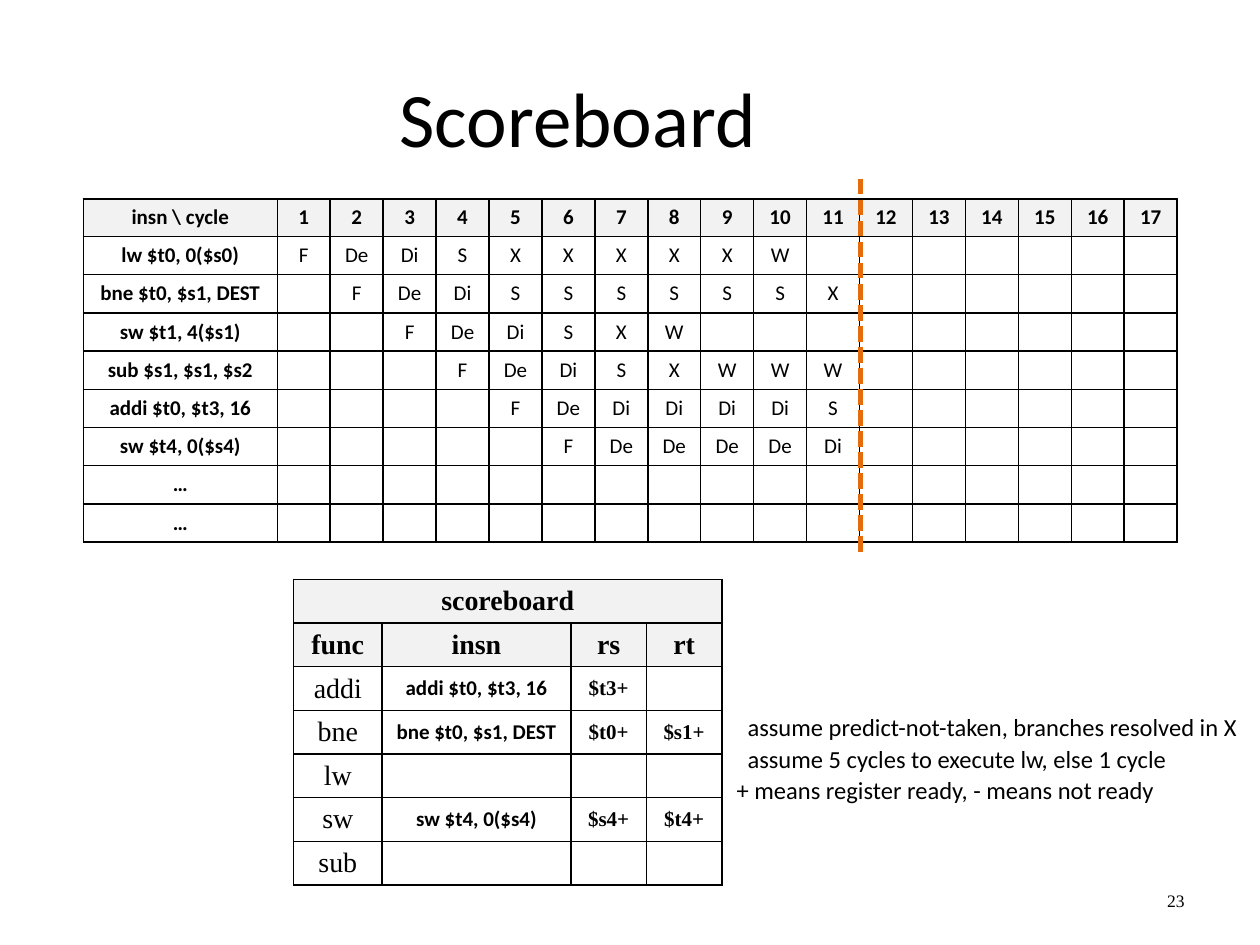
from lxml.etree import SubElement
from pptx import Presentation
from pptx.dml.color import RGBColor
from pptx.enum.dml import MSO_LINE
from pptx.enum.shapes import MSO_CONNECTOR
from pptx.enum.text import MSO_ANCHOR, PP_ALIGN
from pptx.oxml.ns import qn
from pptx.util import Cm, Pt

# Content
TITLE = "Scoreboard"
CYCLES = 17
# instruction, cycle of the first stage, stages
TIMELINE = [
    ("lw $t0, 0($s0)", 1, "F De Di S X X X X X W"),
    ("bne $t0, $s1, DEST", 2, "F De Di S S S S S S X"),
    ("sw $t1, 4($s1)", 3, "F De Di S X W"),
    ("sub $s1, $s1, $s2", 4, "F De Di S X W W W"),
    ("addi $t0, $t3, 16", 5, "F De Di Di Di Di S"),
    ("sw $t4, 0($s4)", 6, "F De De De De Di"),
    ("…", 1, ""),
    ("…", 1, ""),
]
SCOREBOARD = [
    ("scoreboard", "", "", ""),
    ("func", "insn", "rs", "rt"),
    ("addi", "addi $t0, $t3, 16", "$t3+", ""),
    ("bne", "bne $t0, $s1, DEST", "$t0+", "$s1+"),
    ("lw", "", "", ""),
    ("sw", "sw $t4, 0($s4)", "$s4+", "$t4+"),
    ("sub", "", "", ""),
]
# text, left, top, width
NOTES = [
    ("assume predict-not-taken, branches resolved in X", 14.82, 14.02, 10.58),
    ("assume 5 cycles to execute lw, else 1 cycle", 14.82, 14.66, 9.74),
    ("+ means register ready, - means not ready", 14.6, 15.29, 9.74),
]
SANS, SERIF = "Calibri", "Times New Roman"
BLACK, WHITE, GREY, ORANGE = "000000", "FFFFFF", "F2F2F2", "E46C0A"


def color(value):
    return RGBColor.from_string(value)


def format_paragraph(paragraph, size, font_name, bold=False, align=PP_ALIGN.LEFT):
    paragraph.alignment = align
    font = paragraph.font
    font.size, font.name, font.bold = Pt(size), font_name, bold
    font.color.rgb = color(BLACK)


def add_text(slide, text, left, top, width, height, size, font_name, align=PP_ALIGN.LEFT):
    box = slide.shapes.add_textbox(Cm(left), Cm(top), Cm(width), Cm(height))
    frame = box.text_frame
    frame.word_wrap = True
    frame.vertical_anchor = MSO_ANCHOR.MIDDLE
    frame.text = text
    format_paragraph(frame.paragraphs[0], size, font_name, align=align)


def add_borders(cell):
    properties = cell._tc.get_or_add_tcPr()
    for side in ("a:lnL", "a:lnR", "a:lnT", "a:lnB"):
        line = SubElement(properties, qn(side), w=str(Pt(1)))
        fill = SubElement(line, qn("a:solidFill"))
        SubElement(fill, qn("a:srgbClr"), val=BLACK)


def add_grid(slide, rows, left, top, widths, heights, header_rows, cell_font, margin):
    """cell_font(row, column) gives size, font name and bold."""
    frame = slide.shapes.add_table(len(rows), len(widths), Cm(left), Cm(top),
                                   Cm(sum(widths)), Cm(sum(heights)))
    table = frame.table
    table.first_row = table.horz_banding = False
    for column, width in zip(table.columns, widths):
        column.width = Cm(width)
    for row_index, (row, height) in enumerate(zip(rows, heights)):
        table.rows[row_index].height = Cm(height)
        for column_index, text in enumerate(row):
            cell = table.cell(row_index, column_index)
            add_borders(cell)
            cell.fill.solid()
            cell.fill.fore_color.rgb = color(GREY if row_index < header_rows else WHITE)
            cell.vertical_anchor = MSO_ANCHOR.MIDDLE
            cell.margin_top = cell.margin_bottom = Cm(margin)
            cell.text = text
            paragraph = cell.text_frame.paragraphs[0]
            size, font_name, bold = cell_font(row_index, column_index)
            format_paragraph(paragraph, size, font_name, bold, PP_ALIGN.CENTER)
            if not text:  # keeps empty rows from growing
                SubElement(paragraph._p, qn("a:endParaRPr"), sz=str(size * 100))
    return table


def timeline_font(row, column):
    return 12, SANS, row == 0 or column == 0


def scoreboard_font(row, column):
    if row < 2:
        return 16, SERIF, True
    if column == 0:
        return 16, SERIF, False
    return 12, SANS if column == 1 else SERIF, True


def timeline_rows():
    rows = [["insn \\ cycle"] + [str(cycle + 1) for cycle in range(CYCLES)]]
    for instruction, first_cycle, stages in TIMELINE:
        cells = [""] * (first_cycle - 1) + stages.split()
        rows.append([instruction] + cells + [""] * (CYCLES - len(cells)))
    return rows


def main():
    presentation = Presentation()
    presentation.slide_width, presentation.slide_height = Cm(25.4), Cm(19.05)
    slide = presentation.slides.add_slide(presentation.slide_layouts[5])

    # Title
    title = slide.shapes.title
    title.left, title.top, title.width, title.height = Cm(1.27), Cm(0.76), Cm(20.75), Cm(3.18)
    title.text_frame.text = TITLE
    title.text_frame.vertical_anchor = MSO_ANCHOR.MIDDLE
    format_paragraph(title.text_frame.paragraphs[0], 44, SANS, align=PP_ALIGN.CENTER)

    # Pipeline timeline
    name_width, table_width = 3.91, 22.05
    cycle_width = (table_width - name_width) / CYCLES
    add_grid(slide, timeline_rows(), 1.68, 4.01, [name_width] + [cycle_width] * CYCLES,
             [0.72] + [0.77] * len(TIMELINE), 1, timeline_font, 0.12)

    # Scoreboard
    scoreboard = add_grid(slide, SCOREBOARD, 5.92, 11.68, [1.78, 3.81, 1.52, 1.52],
                          [0.88] * len(SCOREBOARD), 2, scoreboard_font, 0.1)
    scoreboard.cell(0, 0).merge(scoreboard.cell(0, 3))

    # Current cycle marker
    marker = slide.shapes.add_connector(MSO_CONNECTOR.STRAIGHT, Cm(17.35), Cm(3.6),
                                        Cm(17.35), Cm(11.22))
    marker.line.color.rgb = color(ORANGE)
    marker.line.width = Pt(3)
    marker.line.dash_style = MSO_LINE.SQUARE_DOT
    SubElement(marker._element.spPr, qn("a:effectLst"))

    # Notes and page number
    for text, left, top, width in NOTES:
        add_text(slide, text, left, top, width, 1.27, 14, SANS)
    add_text(slide, "23", 21.17, 17.65, 2.96, 1.02, 10, SERIF, PP_ALIGN.RIGHT)

    presentation.save("out.pptx")


if __name__ == "__main__":
    main()
